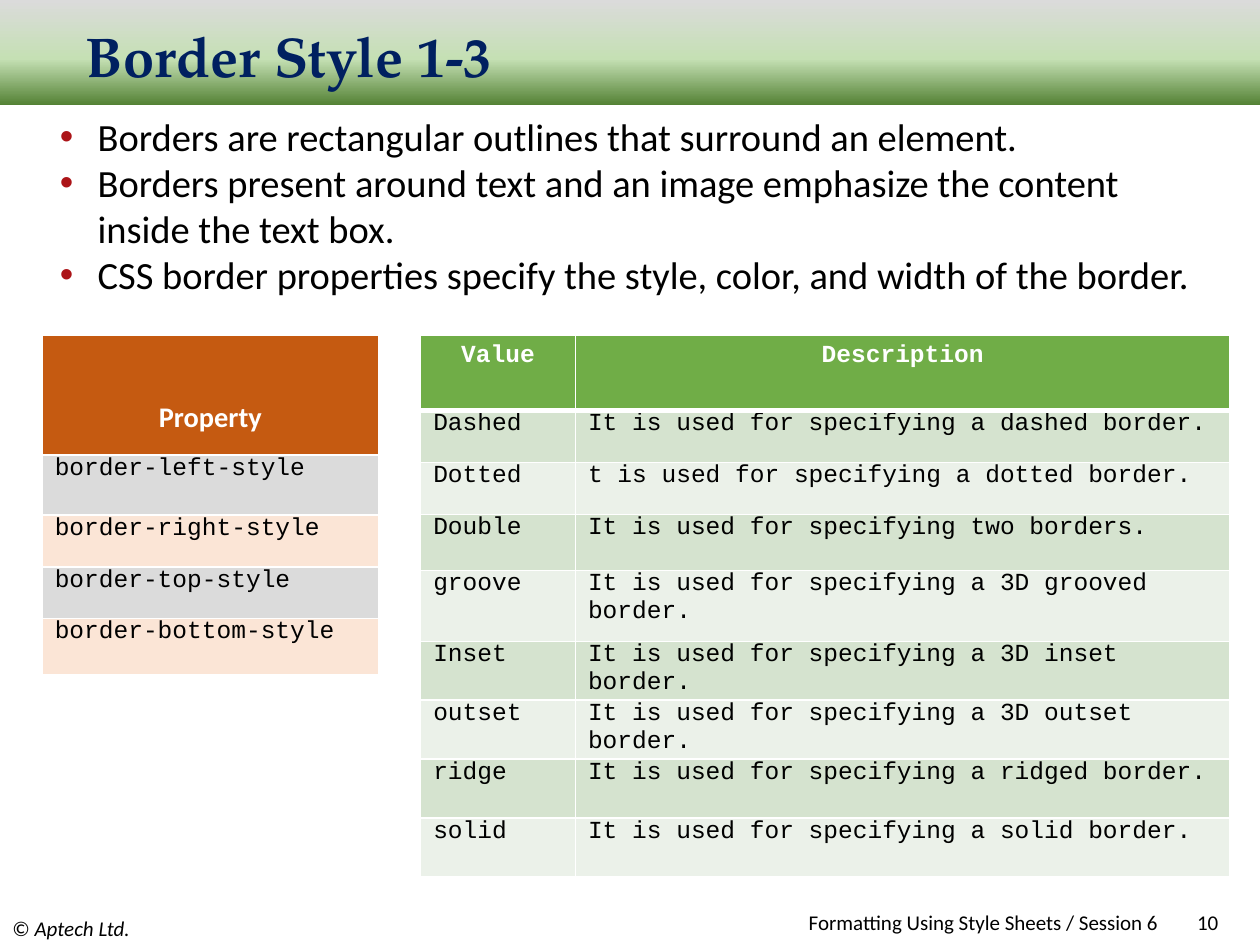
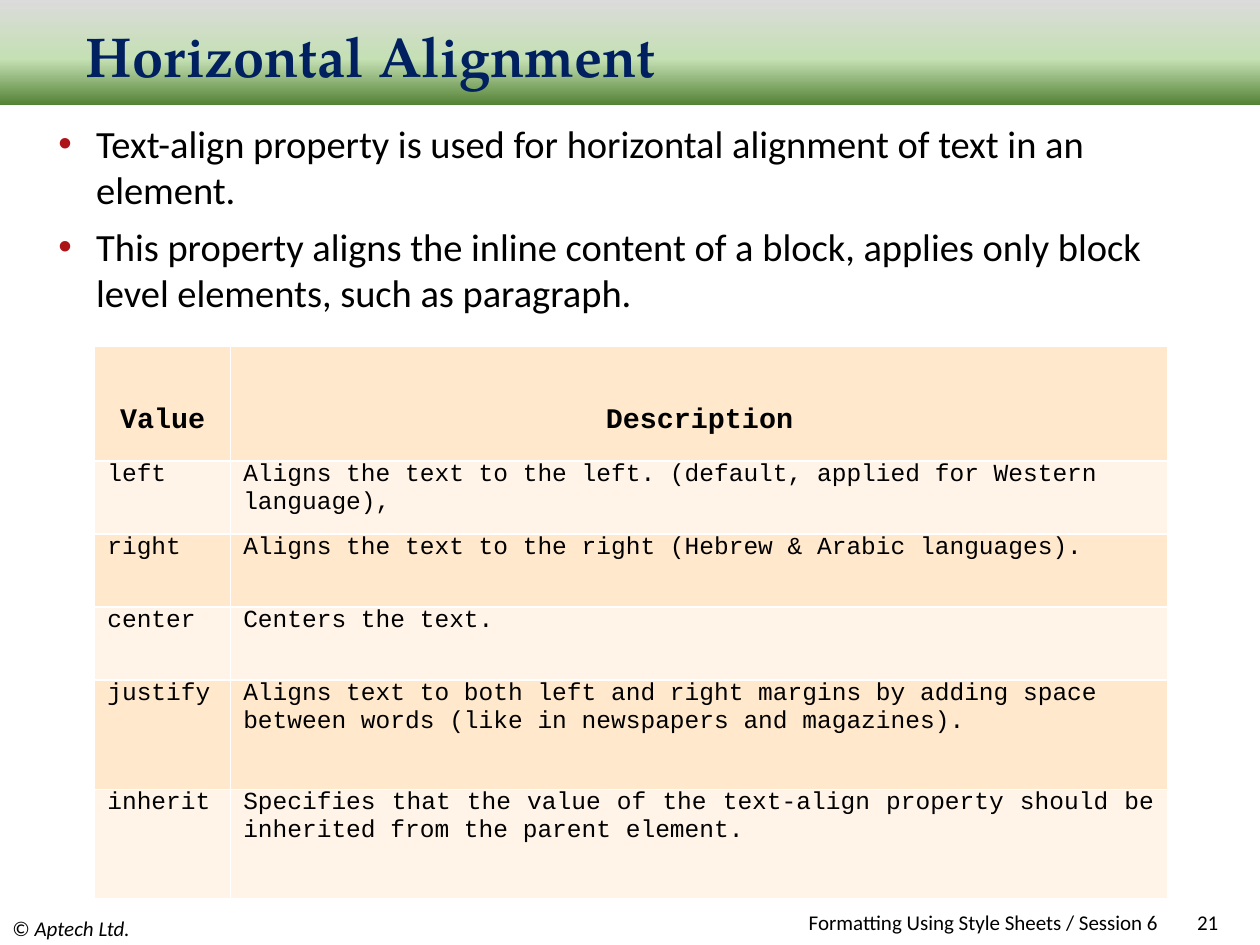
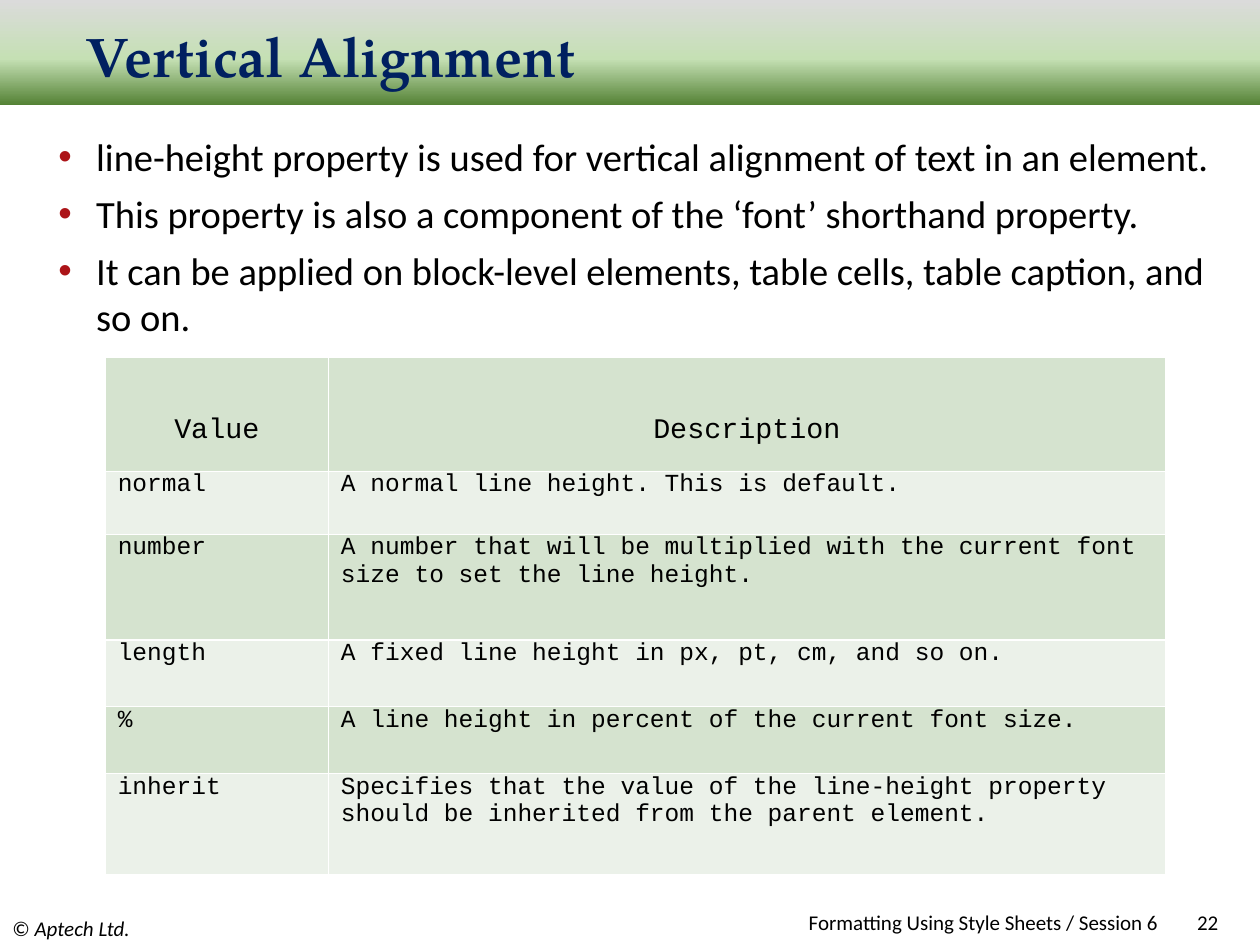
from dataclasses import dataclass

import pptx
import pptx.dml.color
import pptx.enum.shapes
import pptx.enum.text
import pptx.oxml
import pptx.oxml.ns
import pptx.util
from pptx.util import Cm

BLACK, WHITE, NAVY, BULLET_RED = "000000", "FFFFFF", "002060", "AC1418"
GREEN_BANDS = ("D5E3CF", "EBF1E9")
BAND_STOPS = ((0, "548235"), (44, "C5E0B4"), (100, "DBDBDB"))
BODY_FONT, CODE_FONT, TITLE_FONT = "Calibri", "Courier New", "TeX Gyre Pagella"
ALIGN = pptx.enum.text.PP_ALIGN
FOOTER = "Formatting Using Style Sheets / Session 6"


@dataclass
class Header:
    """Look of the top row of a table."""
    fill: str
    color: str = BLACK
    font: str = CODE_FONT
    size: float = 28
    bold: bool = False
    raised: bool = True
    top: float = 1.12
    bottom: float = 0
    rule: float = 1


def rgb(code):
    return pptx.dml.color.RGBColor.from_string(code)


def xml(markup):
    """Parse one element whose tag has the prefix a."""
    tag, rest = markup[1:].split(" ", 1)
    return pptx.oxml.parse_xml(f"<{tag} {pptx.oxml.ns.nsdecls('a')} {rest}")


def add_span(para, words, size, font=BODY_FONT, color=BLACK, bold=False, italic=False):
    span = para.add_run()
    span.text = words
    span.font.size = pptx.util.Pt(size)
    span.font.name = font
    span.font.bold = bold
    span.font.italic = italic
    span.font.color.rgb = rgb(color)
    return span


def add_box(page, left, top, width, height):
    """Add a wrapping, vertically centred text box and return its text frame."""
    box = page.shapes.add_textbox(Cm(left), Cm(top), Cm(width), Cm(height))
    frame = box.text_frame
    frame.word_wrap = True
    frame.vertical_anchor = pptx.enum.text.MSO_ANCHOR.MIDDLE
    frame.margin_top = frame.margin_bottom = 0
    return frame


def add_title_band(page, title):
    band = page.shapes.add_shape(pptx.enum.shapes.MSO_SHAPE.RECTANGLE, 0, 0, Cm(25.4), Cm(2.12))
    band.shadow.inherit = False
    band.line.fill.background()
    stops = "".join(f'<a:gs pos="{place * 1000}"><a:srgbClr val="{color}"/></a:gs>'
                    for place, color in BAND_STOPS)
    gradient = xml(f'<a:gradFill rotWithShape="1"><a:gsLst>{stops}</a:gsLst>'
                   '<a:lin ang="16200000" scaled="0"/></a:gradFill>')
    band.element.spPr.find(pptx.oxml.ns.qn("a:prstGeom")).addnext(gradient)
    frame = add_box(page, 1.48, 0.43, 21.17, 1.35)
    add_span(frame.paragraphs[0], title, 32, TITLE_FONT, NAVY, bold=True)


def add_footer(page, number):
    owner = add_box(page, 0, 18.37, 8.47, 0.68).paragraphs[0]
    add_span(owner, "© ", 12)
    add_span(owner, "Aptech Ltd.", 12, italic=True)
    for left, width, words in ((22.65, 2.16, str(number)), (7, 16.6, FOOTER)):
        para = add_box(page, left, 18.36, width, 0.46).paragraphs[0]
        para.alignment = ALIGN.RIGHT
        add_span(para, words, 12)


def add_page(deck, title, number):
    """Add a slide with the shared band, title and footers."""
    page = deck.slides.add_slide(deck.slide_layouts[6])
    add_title_band(page, title)
    add_footer(page, number)
    return page


def add_bullets(page, place, lines, gap=0):
    frame = add_box(page, *place)
    for index, line in enumerate(lines):
        para = frame.add_paragraph() if index else frame.paragraphs[0]
        props = para._p.get_or_add_pPr()
        props.set("marL", str(Cm(1.27)))
        props.set("indent", str(Cm(-0.76)))
        props.append(xml(f'<a:buClr ><a:srgbClr val="{BULLET_RED}"/></a:buClr>'))
        props.append(xml('<a:buFont typeface="Arial"/>'))
        props.append(xml('<a:buChar char="•"/>'))
        if index and gap:
            para.space_before = pptx.util.Pt(gap)
        add_span(para, line, 22)


def set_borders(cell, top=1, bottom=1):
    """Draw white cell borders, widths in points."""
    props = cell._tc.get_or_add_tcPr()
    for index, (side, width) in enumerate((("L", 1), ("R", 1), ("T", top), ("B", bottom))):
        props.insert(index, xml(
            f'<a:ln{side} w="{pptx.util.Pt(width)}"><a:solidFill><a:srgbClr val="{WHITE}"/>'
            f'</a:solidFill></a:ln{side}>'))


def fill_header_cell(cell, words, header):
    cell.margin_top, cell.margin_bottom = Cm(header.top), Cm(header.bottom)
    cell.fill.solid()
    cell.fill.fore_color.rgb = rgb(header.fill)
    para = cell.text_frame.paragraphs[0]
    para.alignment = ALIGN.CENTER
    span = add_span(para, words, header.size, header.font, header.color, header.bold)
    if header.raised:
        span.font._element.set("baseline", "30000")
    set_borders(cell, bottom=header.rule)


def fill_body_cell(cell, words, color, top_rule):
    cell.margin_top = cell.margin_bottom = 0
    cell.fill.solid()
    cell.fill.fore_color.rgb = rgb(color)
    add_span(cell.text_frame.paragraphs[0], words, 14, CODE_FONT)
    set_borders(cell, top=top_rule)


def add_grid(page, left, top, widths, heights, rows, header, bands):
    """Add a table whose body rows take the two band colours in turn."""
    table = page.shapes.add_table(len(rows), len(widths), Cm(left), Cm(top),
                                  Cm(sum(widths)), Cm(sum(heights))).table
    table.first_row = table.horz_banding = False
    for column, width in zip(table.columns, widths):
        column.width = Cm(width)
    for index, (height, words) in enumerate(zip(heights, rows)):
        table.rows[index].height = Cm(height)
        for position, text in enumerate(words):
            cell = table.cell(index, position)
            if index == 0:
                fill_header_cell(cell, text, header)
            else:
                fill_body_cell(cell, text, bands[(index - 1) % 2],
                               header.rule if index == 1 else 1)
    return table


def add_border_page(deck):
    page = add_page(deck, "Border Style 1-3", 10)
    add_bullets(page, (0.45, 2.03, 24.34, 4.22), (
        "Borders are rectangular outlines that surround an element.",
        "Borders present around text and an image emphasize the content inside the text box.",
        "CSS border properties specify the style, color, and width of the border."))
    sides = [(f"border-{side}-style",) for side in ("left", "right", "top", "bottom")]
    add_grid(page, 0.85, 6.76, (6.78,), (2.41, 1.21, 1.05, 1.04, 1.13),
             [("Property",)] + sides,
             Header("C55A11", WHITE, BODY_FONT, bold=True, top=1.21), ("DBDBDB", "FBE5D6"))
    styles = (
        ("Value", "Description"),
        ("Dashed", "It is used for specifying a dashed border."),
        ("Dotted", "t is used for specifying a dotted border."),
        ("Double", "It is used for specifying two borders."),
        ("groove", "It is used for specifying a 3D grooved border."),
        ("Inset", "It is used for specifying a 3D inset border."),
        ("outset", "It is used for specifying a 3D outset border."),
        ("ridge", "It is used for specifying a ridged border."),
        ("solid", "It is used for specifying a solid border."))
    add_grid(page, 8.48, 6.76, (3.12, 13.2),
             (1.51, 1.05, 1.05, 1.13, 1.43, 1.16, 1.14, 1.19, 1.19), styles,
             Header("70AD47", WHITE, size=14, bold=True, raised=False,
                    top=0.13, bottom=0.13, rule=3), GREEN_BANDS)


def add_horizontal_page(deck):
    page = add_page(deck, "Horizontal Alignment", 21)
    add_bullets(page, (0.42, 2.43, 23.88, 3.92), (
        "Text-align property is used for horizontal alignment of text in an element.",
        "This property aligns the inline content of a block, applies only block level "
        "elements, such as paragraph."), gap=6)
    values = (
        ("Value", "Description"),
        ("left", "Aligns the text to the left. (default, applied for Western language),"),
        ("right", "Aligns the text to the right (Hebrew & Arabic languages)."),
        ("center", "Centers the text."),
        ("justify", "Aligns text to both left and right margins by adding space between "
                    "words (like in newspapers and magazines)."),
        ("inherit", "Specifies that the value of the text-align property should be "
                    "inherited from the parent element."))
    table = add_grid(page, 1.91, 6.99, (2.74, 18.9), (2.21, 1.47, 1.47, 1.47, 2.21, 2.21),
                     values, Header("FFE8CC", bold=True), ("FFF4E7", "FFE8CC"))
    table.cell(5, 1).text_frame.paragraphs[0].alignment = ALIGN.JUSTIFY


def add_vertical_page(deck):
    page = add_page(deck, "Vertical Alignment", 22)
    add_bullets(page, (0.42, 2.12, 24.38, 5.28), (
        "line-height property is used for vertical alignment of text in an element.",
        "This property is also a component of the ‘font’ shorthand property.",
        "It can be applied on block-level elements, table cells, table caption, and so on."),
        gap=6)
    values = (
        ("Value", "Description"),
        ("normal", "A normal line height. This is default."),
        ("number", "A number that will be multiplied with the current font size to set "
                   "the line height."),
        ("length", "A fixed line height in px, pt, cm, and so on."),
        ("%", "A line height in percent of the current font size."),
        ("inherit", "Specifies that the value of the line-height property should be "
                    "inherited from the parent element."))
    add_grid(page, 2.12, 7.2, (4.5, 16.87), (2.2, 1.27, 2.12, 1.35, 1.35, 2.03),
             values, Header(GREEN_BANDS[0]), GREEN_BANDS[::-1])


def main():
    deck = pptx.Presentation()
    deck.slide_width, deck.slide_height = Cm(25.4), Cm(19.05)
    add_border_page(deck)
    add_horizontal_page(deck)
    add_vertical_page(deck)
    deck.save("out.pptx")


if __name__ == "__main__":
    main()
